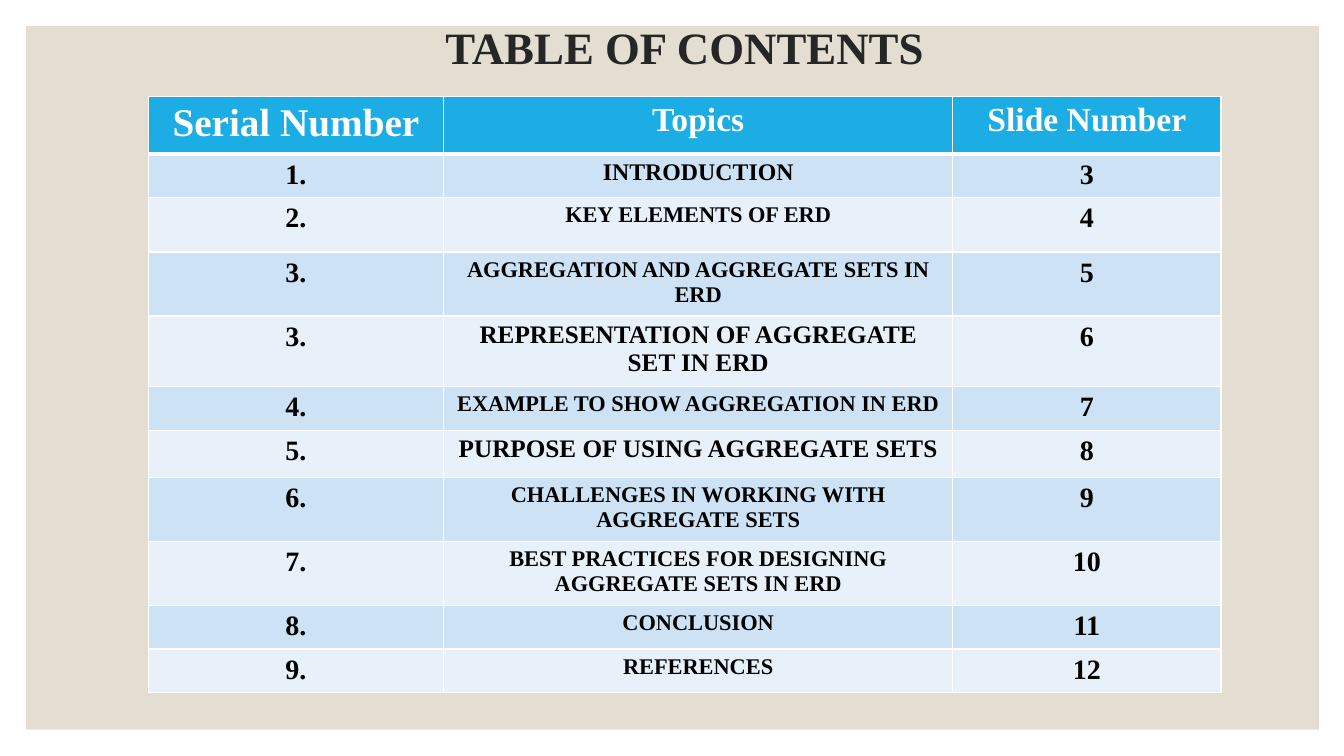
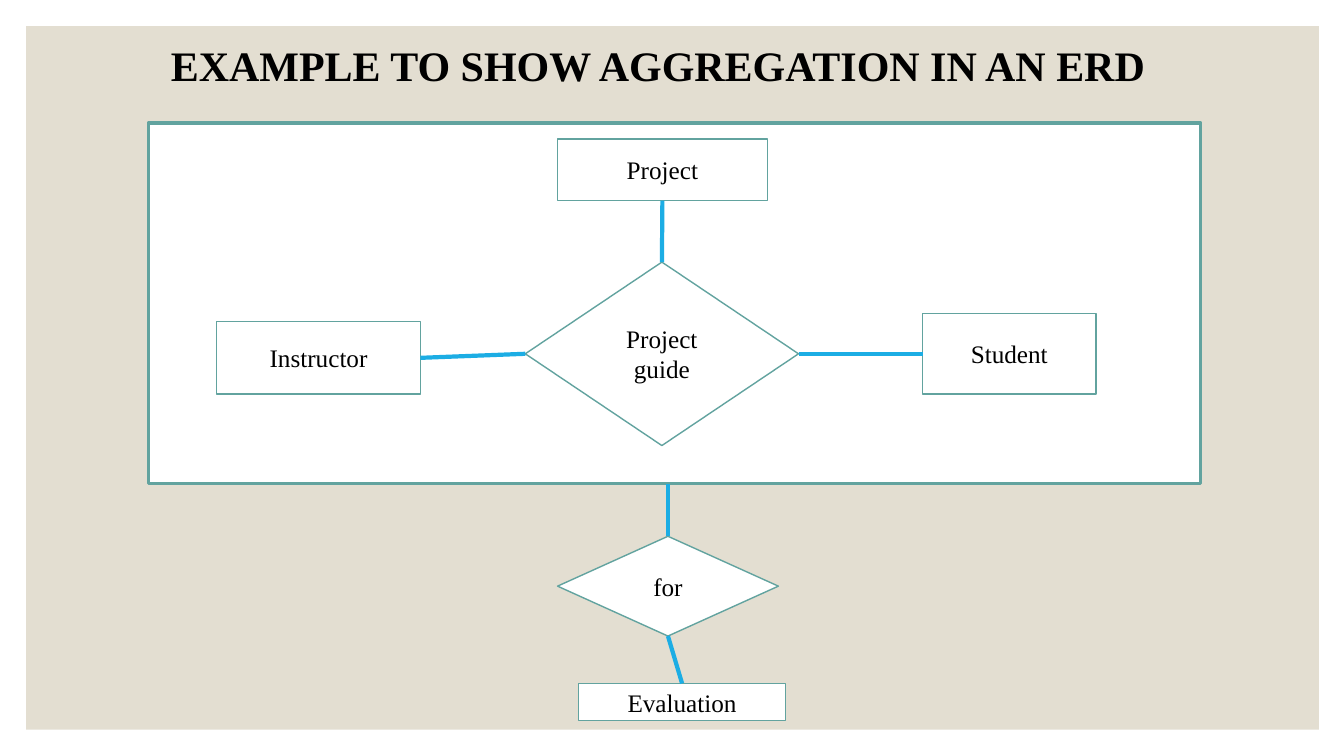
from dataclasses import dataclass

from lxml.etree import SubElement
from pptx import Presentation
from pptx.dml.color import RGBColor
from pptx.enum.shapes import MSO_CONNECTOR as Connector, MSO_SHAPE as Preset
from pptx.enum.text import MSO_ANCHOR as Anchor, PP_ALIGN as Align
from pptx.oxml import parse_xml
from pptx.oxml.ns import nsdecls, qn
from pptx.util import Inches, Pt


@dataclass(frozen=True)
class Theme:
    font: str = "Times New Roman"
    white: str = "FFFFFF"
    black: str = "000000"
    heading: str = "262626"
    panel: str = "E3DED1"
    accent: str = "1CADE4"
    outline: str = "62A39F"
    stripes: tuple = ("CDE3F5", "E8F1FA")
    contents_title: int = 32
    example_title: int = 30
    headers: tuple = (28, 24, 24)
    number: int = 20
    node: int = 18
    thin: float = 1
    frame: float = 2.25
    link: float = 3


@dataclass(frozen=True)
class Box:
    left: float
    top: float
    width: float
    height: float

    def inside(self, left, top, width, height):
        return Box(self.left + left, self.top + top, width, height)

    def lengths(self):
        return [Inches(v) for v in (self.left, self.top, self.width, self.height)]


THEME = Theme()
PANEL = Box(0.26, 0.26, 12.82, 6.98)
TOP, LEFT, BOTTOM, RIGHT = range(4)

COLUMNS = (2.93, 5.05, 2.66)
HEADERS = ("Serial Number", "Topics", "Slide Number")
HEADER_HEIGHT = 0.55
FIRST_SLIDE = 3
TOPICS = (
    ("1.", "INTRODUCTION", 17, 0.42),
    ("2.", "KEY ELEMENTS OF ERD", 16, 0.54),
    ("3.", "AGGREGATION AND AGGREGATE SETS IN ERD", 16, 0.62),
    ("3.", "REPRESENTATION OF AGGREGATE SET IN ERD", 18, 0.68),
    ("4.", "EXAMPLE TO SHOW AGGREGATION IN ERD", 16, 0.42),
    ("5.", "PURPOSE OF USING AGGREGATE SETS", 18, 0.47),
    ("6.", "CHALLENGES IN WORKING WITH AGGREGATE SETS", 16, 0.62),
    ("7.", "BEST PRACTICES FOR DESIGNING AGGREGATE SETS IN ERD", 16, 0.62),
    ("8.", "CONCLUSION", 16, 0.42),
    ("9.", "REFERENCES", 16, 0.42),
)

NODES = {
    "Project": (Preset.RECTANGLE, 4.06, 0.16, 2.08, 0.61),
    "Project guide": (Preset.DIAMOND, 3.74, 1.38, 2.71, 1.82),
    "Student": (Preset.RECTANGLE, 7.68, 1.89, 1.72, 0.8),
    "Instructor": (Preset.RECTANGLE, 0.68, 1.97, 2.02, 0.72),
    "Evaluation": (Preset.RECTANGLE, 4.27, 5.56, 2.05, 0.37),
    "for": (Preset.DIAMOND, 4.06, 4.1, 2.19, 0.99),
}
LINKS = (
    ("Project", BOTTOM, "Project guide", TOP),
    ("Project guide", LEFT, "Instructor", RIGHT),
    ("Project guide", RIGHT, "Student", LEFT),
    ("for", BOTTOM, "Evaluation", TOP),
)


def rgb(color):
    return RGBColor.from_string(color)


def write(frame, text, size, color=THEME.black, bold=False, spacing=1.0):
    paragraph = frame.paragraphs[0]
    paragraph.alignment = Align.CENTER
    paragraph.line_spacing = spacing
    run = paragraph.add_run()
    run.text = text
    run.font.name = THEME.font
    run.font.size = Pt(size)
    run.font.bold = bold
    run.font.color.rgb = rgb(color)


def add_block(slide, box, fill, preset=Preset.RECTANGLE, line=None):
    block = slide.shapes.add_shape(preset, *box.lengths())
    block.shadow.inherit = False
    block.fill.solid()
    block.fill.fore_color.rgb = rgb(fill)
    if line:
        block.line.color.rgb = rgb(THEME.outline)
        block.line.width = Pt(line)
    else:
        block.line.fill.background()
    return block


def add_title(slide, box, text, size, **style):
    frame = slide.shapes.add_textbox(*box.lengths()).text_frame
    frame.word_wrap = True
    frame.vertical_anchor = Anchor.MIDDLE
    write(frame, text, size, bold=True, **style)


def add_base(deck):
    slide = deck.slides.add_slide(deck.slide_layouts[6])
    add_block(slide, PANEL, THEME.panel)
    return slide


def border_cell(cell, widths):
    properties = cell._tc.get_or_add_tcPr()
    for index, (side, width) in enumerate(zip("LRTB", widths)):
        properties.insert(index, parse_xml(
            f'<a:ln{side} {nsdecls("a")} w="{Pt(width)}"><a:solidFill>'
            f'<a:srgbClr val="{THEME.white}"/></a:solidFill></a:ln{side}>'))


def fill_row(table, row, texts, sizes, height, color, fill, top=1, bottom=1):
    table.rows[row].height = Inches(height)
    for column, (text, size) in enumerate(zip(texts, sizes)):
        cell = table.cell(row, column)
        border_cell(cell, (THEME.thin, THEME.thin, top, bottom))
        cell.fill.solid()
        cell.fill.fore_color.rgb = rgb(fill)
        write(cell.text_frame, text, size, color, bold=True)


def add_contents(slide, box):
    table = slide.shapes.add_table(
        len(TOPICS) + 1, len(COLUMNS), *box.lengths()).table
    for column, width in zip(table.columns, COLUMNS):
        column.width = Inches(width)
    fill_row(table, 0, HEADERS, THEME.headers, HEADER_HEIGHT,
             THEME.white, THEME.accent, bottom=3)
    for row, (serial, topic, size, height) in enumerate(TOPICS, 1):
        page = str(FIRST_SLIDE + row - 1)
        fill_row(table, row, (serial, topic, page),
                 (THEME.number, size, THEME.number), height,
                 THEME.black, THEME.stripes[(row - 1) % 2],
                 top=3 if row == 1 else 1)


def add_link(slide, start, end, end_site, start_site=None):
    x, y = end.left + end.width // 2, start.top + start.height
    link = slide.shapes.add_connector(Connector.STRAIGHT, x, y, x, y)
    if start_site is not None:
        link.begin_connect(start, start_site)
    link.end_connect(end, end_site)
    link.line.color.rgb = rgb(THEME.accent)
    link.line.width = Pt(THEME.link)
    SubElement(link._element.spPr, qn("a:effectLst"))


def add_diagram(slide, box):
    aggregate = add_block(slide, box, THEME.white, line=THEME.frame)
    nodes = {}
    for label, (preset, *place) in NODES.items():
        node = add_block(slide, box.inside(*place), THEME.white, preset, THEME.thin)
        node.text_frame.word_wrap = True
        node.text_frame.vertical_anchor = Anchor.MIDDLE
        write(node.text_frame, label, THEME.node)
        nodes[label] = node
    for start, start_site, end, end_site in LINKS:
        add_link(slide, nodes[start], nodes[end], end_site, start_site)
    add_link(slide, aggregate, nodes["for"], TOP)


def contents_slide(deck):
    slide = add_base(deck)
    add_title(slide, Box(1.04, 0.14, 11.5, 0.71), "TABLE OF CONTENTS",
              THEME.contents_title, color=THEME.heading, spacing=0.9)
    add_contents(slide, Box(1.47, 0.96, 10.64, 5.78))


def example_slide(deck):
    slide = add_base(deck)
    add_diagram(slide, Box(1.47, 1.22, 10.44, 3.58))
    add_title(slide, Box(1.31, 0.34, 10.44, 0.61),
              "EXAMPLE TO SHOW AGGREGATION IN AN ERD", THEME.example_title)


def main():
    deck = Presentation()
    deck.slide_width, deck.slide_height = Inches(13.33), Inches(7.5)
    contents_slide(deck)
    example_slide(deck)
    deck.save("out.pptx")


if __name__ == "__main__":
    main()
